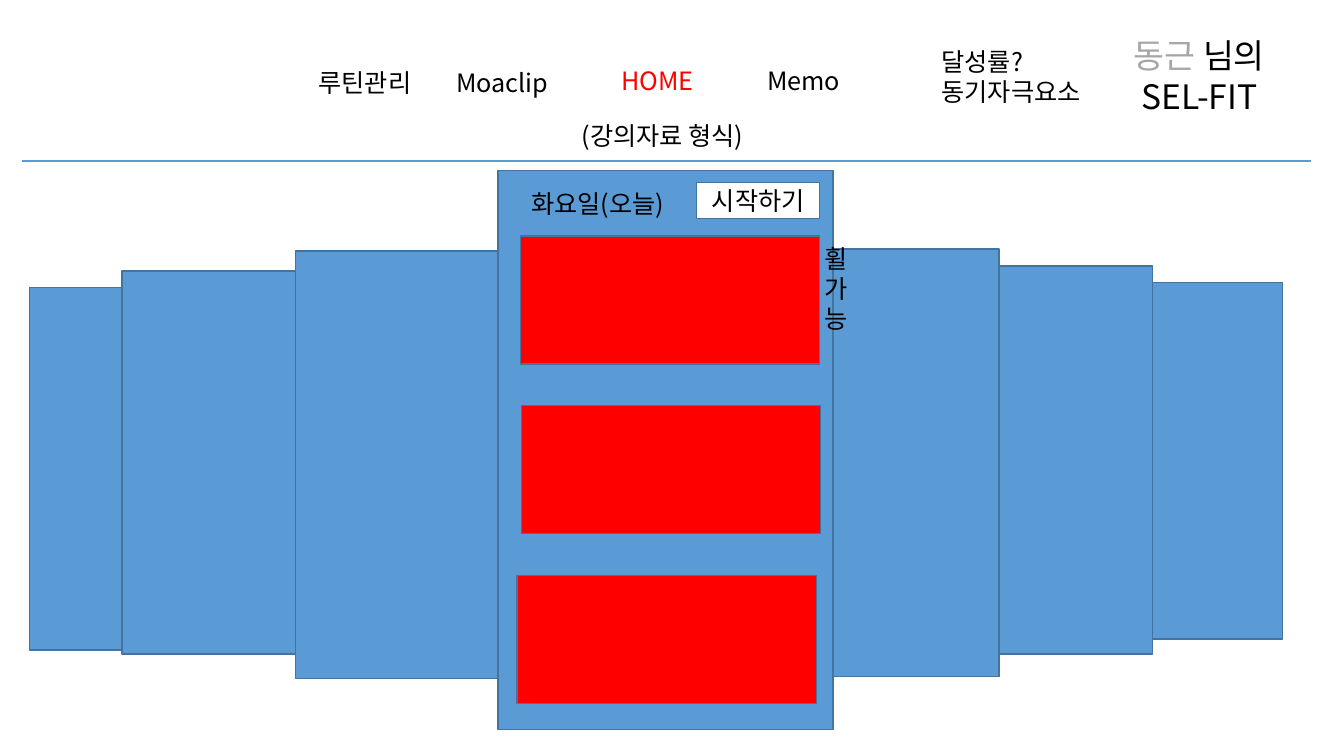
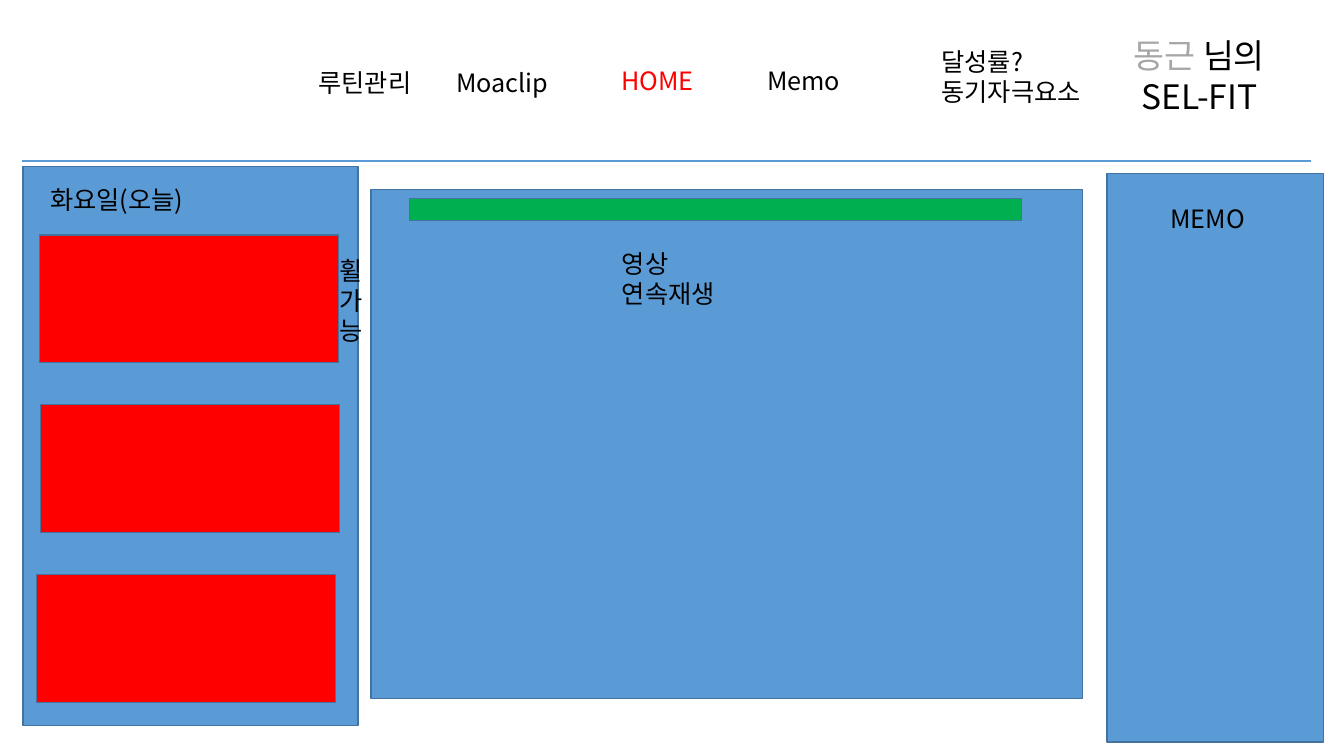
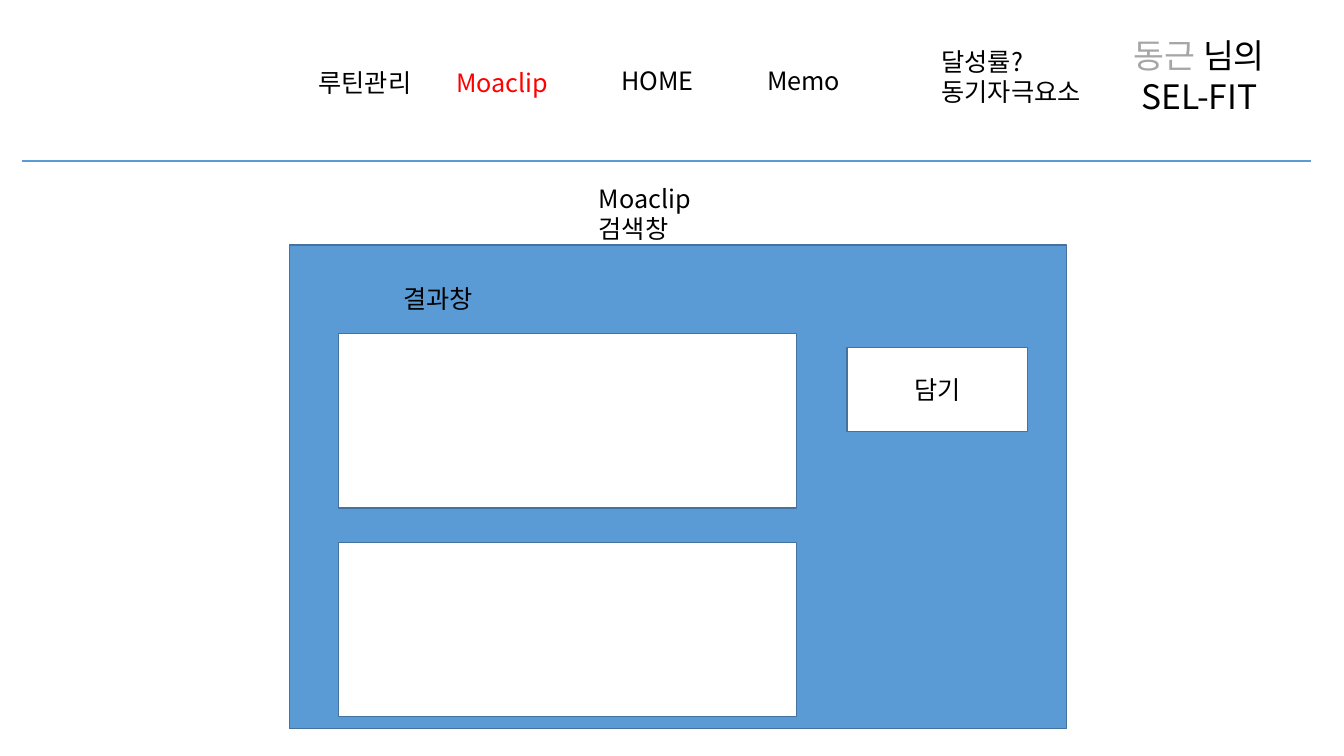
"""Build three wireframe slides for a workout routine site."""
import pptx
import pptx.util
import pptx.dml.color
import pptx.enum.shapes
import pptx.enum.text
import pptx.oxml.ns
import lxml.etree

Inches = pptx.util.Inches
Pt = pptx.util.Pt
ALIGN = pptx.enum.text.PP_ALIGN
FONT = "Noto Sans CJK KR"
HUES = {
    "blue": "5B9BD5",
    "edge": "43739E",
    "red": "FF0000",
    "green": "00B050",
    "white": "FFFFFF",
    "black": "000000",
    "gray": "A6A6A6",
}
TABS = [
    ("루틴관리", 3.06, 0.62, 1.25, 0.4, ALIGN.LEFT),
    ("Moaclip", 4.3, 0.62, 1.36, 0.4, ALIGN.CENTER),
    ("HOME", 5.84, 0.6, 1.36, 0.4, ALIGN.CENTER),
    ("Memo", 7.29, 0.6, 1.36, 0.4, ALIGN.CENTER),
    ("달성률?\n동기자극요소", 9.24, 0.41, 2.27, 0.71, ALIGN.LEFT),
]
SIDES = [
    (0.29, 2.85, 2.15, 3.6),
    (1.21, 2.69, 2.27, 3.8),
    (2.93, 2.49, 2.53, 4.24),
    (10.61, 2.8, 2.11, 3.54),
    (9.13, 2.64, 2.3, 3.85),
    (7.38, 2.47, 2.53, 4.24),
]


def tint(hue):
    return pptx.dml.color.RGBColor.from_string(HUES[hue])


def style(run, hue="black", size=18):
    run.font.size = Pt(size)
    run.font.color.rgb = tint(hue)
    run.font.name = FONT
    east = lxml.etree.SubElement(run.font._element, pptx.oxml.ns.qn("a:ea"))
    east.set("typeface", FONT)


def write(frame, text, hue="black", align=ALIGN.LEFT):
    frame.word_wrap = True
    frame.text = text
    for para in frame.paragraphs:
        para.alignment = align
        for run in para.runs:
            style(run, hue)


def label(shapes, text, left, top, width, height=0.4, align=ALIGN.LEFT, hue="black"):
    box = shapes.add_textbox(Inches(left), Inches(top), Inches(width), Inches(height))
    write(box.text_frame, text, hue, align)


def panel(shapes, left, top, width, height, hue="blue", text=None):
    kind = pptx.enum.shapes.MSO_SHAPE.RECTANGLE
    box = shapes.add_shape(kind, Inches(left), Inches(top), Inches(width), Inches(height))
    box.shadow.inherit = False
    box.fill.solid()
    box.fill.fore_color.rgb = tint(hue)
    box.line.color.rgb = tint("edge")
    box.line.width = Pt(1)
    if text:
        write(box.text_frame, text, align=ALIGN.CENTER)


def brand(title, left, top, width, height):
    title.left, title.top = Inches(left), Inches(top)
    title.width, title.height = Inches(width), Inches(height)
    frame = title.text_frame
    frame.word_wrap = True
    frame.auto_size = pptx.enum.text.MSO_AUTO_SIZE.NONE
    frame.vertical_anchor = pptx.enum.text.MSO_ANCHOR.TOP
    frame.text = "동근 \nSEL-FIT"
    first, last = frame.paragraphs
    first.add_run().text = "님의"
    for para in (first, last):
        para.alignment = ALIGN.CENTER
        for run in para.runs:
            style(run, size=24)
    first.runs[0].font.color.rgb = tint("gray")


def rule(shapes, left, top, width):
    kind = pptx.enum.shapes.MSO_CONNECTOR.STRAIGHT
    line = shapes.add_connector(kind, Inches(left), Inches(top), Inches(left + width), Inches(top))
    line.line.color.rgb = tint("blue")
    line.line.width = Pt(1.5)
    props = line._element.spPr
    lxml.etree.SubElement(props, pptx.oxml.ns.qn("a:effectLst"))


def page(deck, active):
    slide = deck.slides.add_slide(deck.slide_layouts[5])
    brand(slide.shapes.title, 10.45, 0.3, 2.89, 0.91)
    rule(slide.shapes, 0.22, 1.6, 12.78)
    for text, left, top, width, height, align in TABS:
        hue = "red" if text == active else "black"
        label(slide.shapes, text, left, top, width, height, align, hue)
    return slide.shapes


def today(shapes, left, top, inset, drop, indent, start=False):
    group = shapes.add_group_shape().shapes
    panel(group, left, top, 3.32, 5.55)
    label(group, "화요일(오늘)", left + indent, top + 0.13, 1.87)
    for row, shift in enumerate((0, 0.01, -0.03)):
        panel(group, left + inset + shift, top + drop + row * 1.685, 2.97, 1.27, "red")
    if start:
        panel(group, left + 1.97, top + 0.12, 1.22, 0.36, "white", "시작하기")


def wheel(shapes, left, top):
    label(shapes, "휠 가능", left, top, 0.55, 1.01)


def player(shapes, left, top):
    panel(shapes, left, top, 7.06, 5.05)
    panel(shapes, left + 0.38, top + 0.09, 6.07, 0.22, "green")
    label(shapes, "영상\n연속재생", left + 2.39, top + 0.53, 2.19, 0.71)


def memo(shapes, left, top):
    panel(shapes, left, top, 2.15, 5.64)
    label(shapes, "MEMO", left + 0.53, top + 0.25, 1.29)


def results(shapes, left, top):
    group = shapes.add_group_shape().shapes
    panel(group, left, top, 7.71, 4.8)
    label(group, "결과창", left + 1.03, top + 0.33, 1.22)
    for row in range(2):
        panel(group, left + 0.49, top + 0.88 + row * 2.07, 4.54, 1.73, "white")
    panel(group, left + 5.53, top + 1.02, 1.79, 0.83, "white", "담기")


def home(deck):
    shapes = page(deck, "HOME")
    label(shapes, "(강의자료 형식)", 5.67, 1.14, 2.3)
    for side in SIDES:
        panel(shapes, *side)
    today(shapes, 4.94, 1.69, 0.22, 0.65, 0.23, start=True)
    wheel(shapes, 8.08, 2.36)


def watch(deck):
    shapes = page(deck, "HOME")
    today(shapes, 0.23, 1.65, 0.16, 0.68, 0.17)
    player(shapes, 3.68, 1.88)
    memo(shapes, 10.98, 1.72)
    wheel(shapes, 3.27, 2.48)


def search(deck):
    shapes = page(deck, "Moaclip")
    label(shapes, "Moaclip 검색창", 5.84, 1.77, 1.6, 0.71)
    results(shapes, 2.87, 2.43)


def main():
    deck = pptx.Presentation()
    deck.slide_width, deck.slide_height = Inches(13.33), Inches(7.5)
    for build in (home, watch, search):
        build(deck)
    deck.save("out.pptx")


if __name__ == "__main__":
    main()
